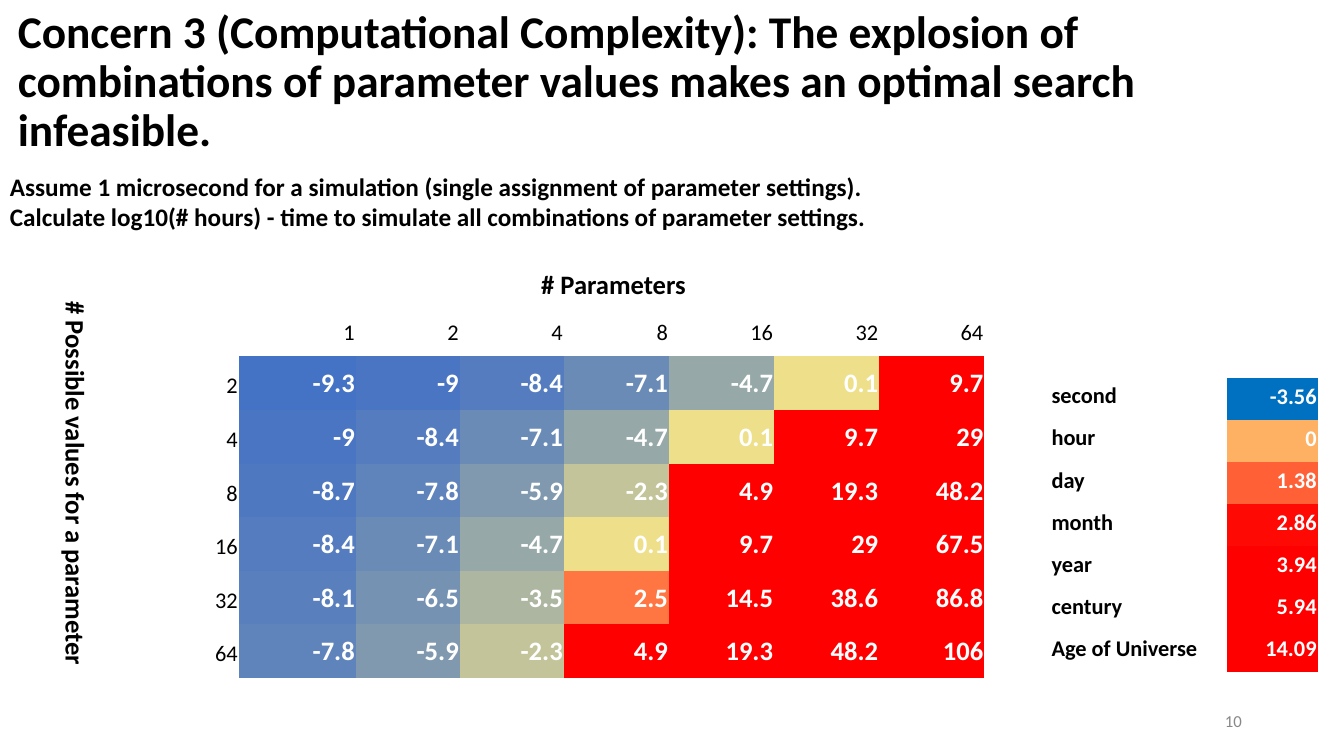
from pptx import Presentation
from pptx.dml.color import RGBColor
from pptx.enum.text import MSO_ANCHOR, MSO_AUTO_SIZE, PP_ALIGN
from pptx.oxml.ns import qn
from pptx.util import Cm, Pt

TOP, MIDDLE, BOTTOM = MSO_ANCHOR.TOP, MSO_ANCHOR.MIDDLE, MSO_ANCHOR.BOTTOM
LEFT, RIGHT = PP_ALIGN.LEFT, PP_ALIGN.RIGHT
GROW = MSO_AUTO_SIZE.SHAPE_TO_FIT_TEXT
FONT = "Calibri"
BLACK, WHITE, GREY, RED = "000000", "FFFFFF", "888888", "FF0000"
PLAIN_TABLE = "{2D5ABB26-0587-4C30-8999-92F81FD0307C}"

PARAMETER_COUNTS = ["1", "2", "4", "8", "16", "32", "64"]
LOG_HOURS = {
    "2": ["-9.3", "-9", "-8.4", "-7.1", "-4.7", "0.1", "9.7"],
    "4": ["-9", "-8.4", "-7.1", "-4.7", "0.1", "9.7", "29"],
    "8": ["-8.7", "-7.8", "-5.9", "-2.3", "4.9", "19.3", "48.2"],
    "16": ["-8.4", "-7.1", "-4.7", "0.1", "9.7", "29", "67.5"],
    "32": ["-8.1", "-6.5", "-3.5", "2.5", "14.5", "38.6", "86.8"],
    "64": ["-7.8", "-5.9", "-2.3", "4.9", "19.3", "48.2", "106"],
}
HEAT = {
    "-9.3": "4472C4", "-9": "4975C3", "-8.7": "4E79C1", "-8.4": "547CBF",
    "-8.1": "5980BD", "-7.8": "5F83BB", "-7.1": "6B8BB7", "-6.5": "7692B3",
    "-5.9": "8199AF", "-4.7": "97A8A8", "-3.5": "ADB6A0", "-2.3": "C3C499",
    "0.1": "EEE08A", "2.5": "FF7642",
}
DURATIONS = [
    ("second", "-3.56", "0070C0"),
    ("hour", "0", "FFB163"),
    ("day", "1.38", "FF6036"),
    ("month", "2.86", "FF0905"),
    ("year", "3.94", RED),
    ("century", "5.94", RED),
    ("Age of Universe", "14.09", RED),
]


def rgb(color):
    return RGBColor.from_string(color)


def format_text(frame, size, color, bold, align, spacing):
    for paragraph in frame.paragraphs:
        paragraph.alignment = align
        paragraph.line_spacing = spacing
        for run in paragraph.runs:
            run.font.name = FONT
            run.font.size = Pt(size)
            run.font.bold = bold
            run.font.color.rgb = rgb(color)


def add_text(slide, box, text, size, color=BLACK, bold=True, align=LEFT,
             spacing=1.0, anchor=TOP, margin=0.25, rotation=0):
    label = slide.shapes.add_textbox(*(Cm(length) for length in box))
    label.rotation = rotation
    frame = label.text_frame
    frame.word_wrap = True
    frame.vertical_anchor = anchor
    frame.margin_left = frame.margin_right = Cm(0.25)
    frame.margin_top = frame.margin_bottom = Cm(margin)
    if anchor == TOP:
        frame.auto_size = GROW
    frame.text = text
    format_text(frame, size, color, bold, align, spacing)


def add_plain_table(slide, left, top, widths, row_count, row_height):
    holder = slide.shapes.add_table(
        row_count, len(widths), Cm(left), Cm(top),
        Cm(sum(widths)), Cm(row_height * row_count))
    next(holder.element.iter(qn("a:tableStyleId"))).text = PLAIN_TABLE
    table = holder.table
    table.first_row = table.horz_banding = False
    for column, width in zip(table.columns, widths):
        column.width = Cm(width)
    for row in table.rows:
        row.height = Cm(row_height)
    return table


def fill_cell(cell, text, size, color=BLACK, bold=True, align=RIGHT,
              spacing=1.15, fill=None):
    cell.margin_left = cell.margin_right = cell.margin_top = Cm(0.03)
    cell.margin_bottom = Cm(0.25)
    cell.vertical_anchor = BOTTOM
    if fill:
        cell.fill.solid()
        cell.fill.fore_color.rgb = rgb(fill)
    else:
        cell.fill.background()
    cell.text_frame.text = text
    format_text(cell.text_frame, size, color, bold, align, spacing)


def add_heat_map(slide):
    widths = [3.3, 2.95, 2.62, 2.62] + [2.65] * 4
    table = add_plain_table(slide, 2.72, 7.63, widths, len(LOG_HOURS) + 1, 1.35)
    for column, heading in enumerate([""] + PARAMETER_COUNTS):
        fill_cell(table.cell(0, column), heading, 16, bold=False)
    for row, (value_count, hours) in enumerate(LOG_HOURS.items(), 1):
        fill_cell(table.cell(row, 0), value_count, 16, bold=False)
        for column, hour in enumerate(hours, 1):
            fill_cell(table.cell(row, column), hour, 19, WHITE,
                      fill=HEAT.get(hour, RED))


def add_duration_key(slide):
    table = add_plain_table(slide, 26.47, 9.52, [4.45, 2.29], len(DURATIONS), 1.06)
    for row, (duration, hours, fill) in enumerate(DURATIONS):
        fill_cell(table.cell(row, 0), duration, 16, align=LEFT, spacing=1.0)
        fill_cell(table.cell(row, 1), hours, 16, WHITE, fill=fill)


def main():
    deck = Presentation()
    deck.slide_width, deck.slide_height = Cm(33.87), Cm(19.05)
    slide = deck.slides.add_slide(deck.slide_layouts[6])
    add_text(slide, (0.2, 0.25, 33.58, 3.68),
             "Concern 3 (Computational Complexity): The explosion of combinations "
             "of parameter values makes an optimal search infeasible.",
             32.4, spacing=0.9, anchor=MIDDLE, margin=0.13)
    add_text(slide, (13.39, 6.5, 5.89, 1.32), "# Parameters", 19)
    add_text(slide, (-3.23, 11.84, 10.29, 1.32),
             "# Possible values for a parameter", 19, rotation=90)
    add_text(slide, (0, 4.06, 23.8, 2.06),
             "Assume 1 microsecond for a simulation (single assignment of "
             "parameter settings).\n"
             "Calculate log10(# hours) - time to simulate all combinations of "
             "parameter settings.", 18)
    add_heat_map(slide)
    add_duration_key(slide)
    add_text(slide, (23.93, 17.65, 7.62, 1.02), "10", 12, GREY, bold=False,
             align=RIGHT, anchor=MIDDLE, margin=0.13)
    deck.save("out.pptx")


if __name__ == "__main__":
    main()
